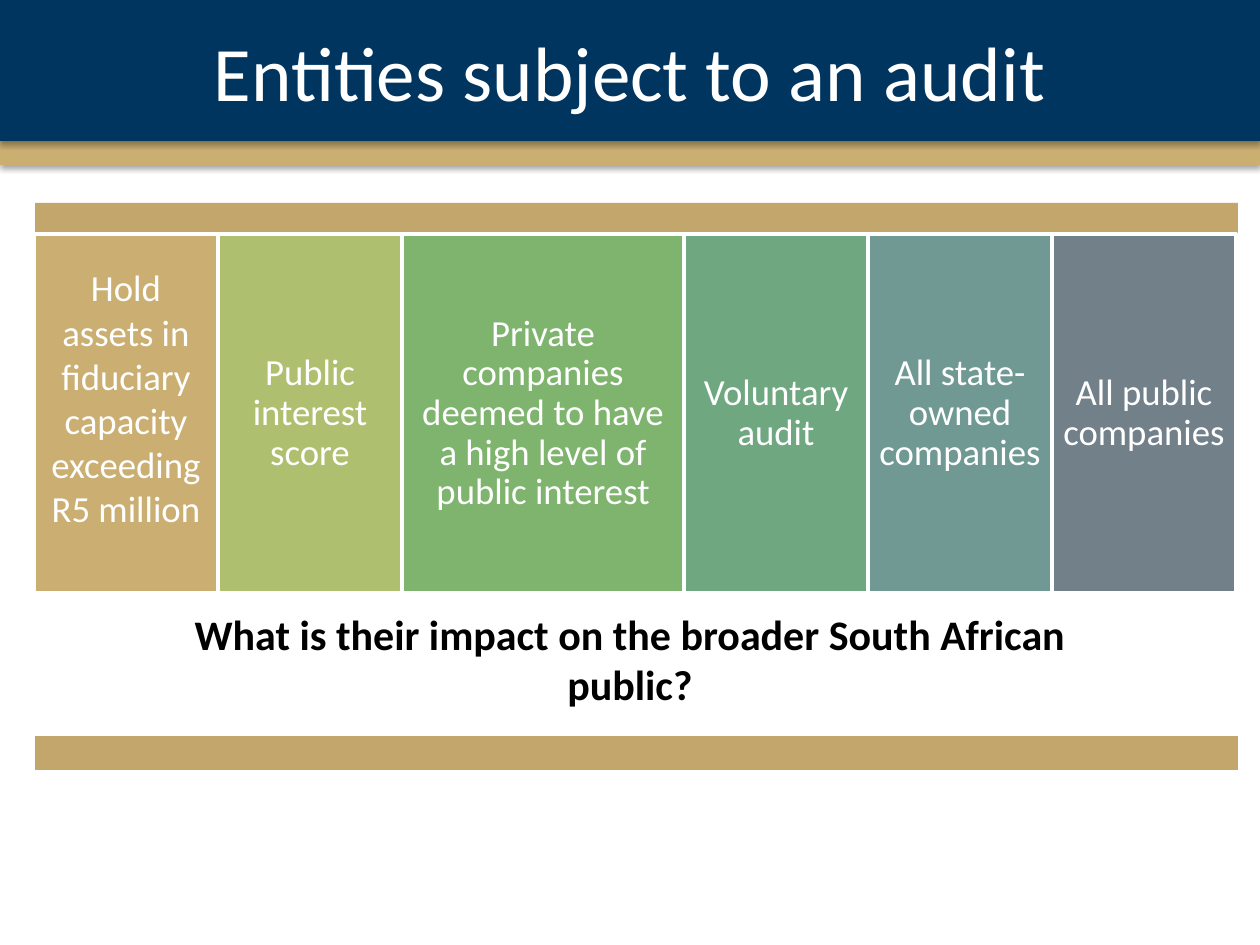
from dataclasses import dataclass

from lxml.etree import SubElement
from pptx import Presentation
from pptx.dml.color import RGBColor
from pptx.enum.shapes import MSO_SHAPE as Shape
from pptx.enum.text import MSO_ANCHOR as Anchor, PP_ALIGN as Align
from pptx.oxml.ns import qn
from pptx.util import Pt

SCALE = 914400 / 126  # EMU per px
SLIDE_W, SLIDE_H = 1260, 945
TITLE_ONLY = 5


@dataclass(frozen=True)
class Theme:
    font: str = "Calibri"
    navy: str = "003560"
    gold: str = "CBAE71"
    band: str = "C2A66C"
    white: str = "FFFFFF"
    black: str = "000000"
    title_size: int = 44
    question_size: int = 24
    entity_size: int = 21


THEME = Theme()

# wording, fill, width, formats that differ from the usual entity
NARROW, WIDE = 184, 282
ENTITIES = [
    ("Hold assets in fiduciary capacity exceeding R5 million", THEME.gold, NARROW,
     {"spacing": 1.0, "bottom": 43}),
    ("Public interest score", "AEC06F", NARROW, {}),
    ("Private companies deemed to have a high level of public interest",
     "7EB46E", WIDE, {}),
    ("Voluntary audit", "6FA781", NARROW, {}),
    ("All state-owned companies", "709994", NARROW, {}),
    ("All public companies", "72808A", NARROW, {}),
]


def px(length):
    return round(length * SCALE)


def paint(shape, color):
    shape.fill.solid()
    shape.fill.fore_color.rgb = RGBColor.from_string(color)


def add_bar(slide, box, color):
    bar = slide.shapes.add_shape(Shape.RECTANGLE, *map(px, box))
    bar.shadow.inherit = False
    paint(bar, color)
    bar.line.fill.background()
    return bar


def write(shape, wording, size, color, bold=False, spacing=None, margins=None, wrap=True):
    """Set one centred paragraph; margins maps a side to px."""
    frame = shape.text_frame
    frame.word_wrap = wrap
    frame.vertical_anchor = Anchor.MIDDLE
    for side, margin in (margins or {}).items():
        setattr(frame, f"margin_{side}", px(margin))
    paragraph = frame.paragraphs[0]
    paragraph.alignment = Align.CENTER
    paragraph.line_spacing = spacing
    run = paragraph.add_run()
    run.text = wording
    formats = {"name": THEME.font, "size": Pt(size), "bold": bold}
    for key, value in formats.items():
        setattr(run.font, key, value)
    run.font.color.rgb = RGBColor.from_string(color)


def cast_shadow(shape):
    shape.shadow.inherit = False
    effects = shape._element.spPr.find(qn("a:effectLst"))
    shadow = SubElement(effects, qn("a:outerShdw"), blurRad=str(Pt(3.1)),
                        dist=str(Pt(1.8)), dir="5400000", rotWithShape="0")
    tint = SubElement(shadow, qn("a:srgbClr"), val=THEME.black)
    SubElement(tint, qn("a:alpha"), val="35000")


def build_header(slide, left, top, width, height):
    title_height = height - 24
    cast_shadow(add_bar(slide, (left, top + title_height, width, 24), THEME.gold))
    title = slide.shapes.title
    place = {"left": left, "top": top, "width": width, "height": title_height}
    for key, value in place.items():
        setattr(title, key, px(value))
    paint(title, THEME.navy)
    cast_shadow(title)
    write(title, "Entities subject to an audit", THEME.title_size, THEME.white)
    # The title lies over the strip so that its shadow falls on it.
    slide.shapes._spTree.append(title._element)


def build_entities(slide, left, top, width, height):
    """Row of entities between two gold bands."""
    add_bar(slide, (left, top, width, 171), THEME.band)
    entity_left = left - 1
    for wording, color, entity_width, special in ENTITIES:
        entity = add_bar(slide, (entity_left, top + 31, entity_width, 359), color)
        entity.line.color.rgb = RGBColor.from_string(THEME.white)
        entity.line.width = Pt(2)
        margins = {"left": 9, "right": 9, "top": 11, "bottom": special.get("bottom", 11)}
        write(entity, wording, THEME.entity_size, THEME.white,
              spacing=special.get("spacing", 0.9), margins=margins)
        entity_left += entity_width
    add_bar(slide, (left, top + height - 34, width, 34), THEME.band)


def build_question(slide, *box):
    question = slide.shapes.add_textbox(*map(px, box))
    write(question, "What is their impact on the broader South African public?",
          THEME.question_size, THEME.black, bold=True, wrap=False)


def main():
    deck = Presentation()
    deck.slide_width, deck.slide_height = px(SLIDE_W), px(SLIDE_H)
    slide = deck.slides.add_slide(deck.slide_layouts[TITLE_ONLY])
    build_entities(slide, 35, 203, 1203, 567)
    build_header(slide, 0, 0, SLIDE_W, 165)
    build_question(slide, 116, 627, 1028, 63)
    deck.save("out.pptx")


if __name__ == "__main__":
    main()
